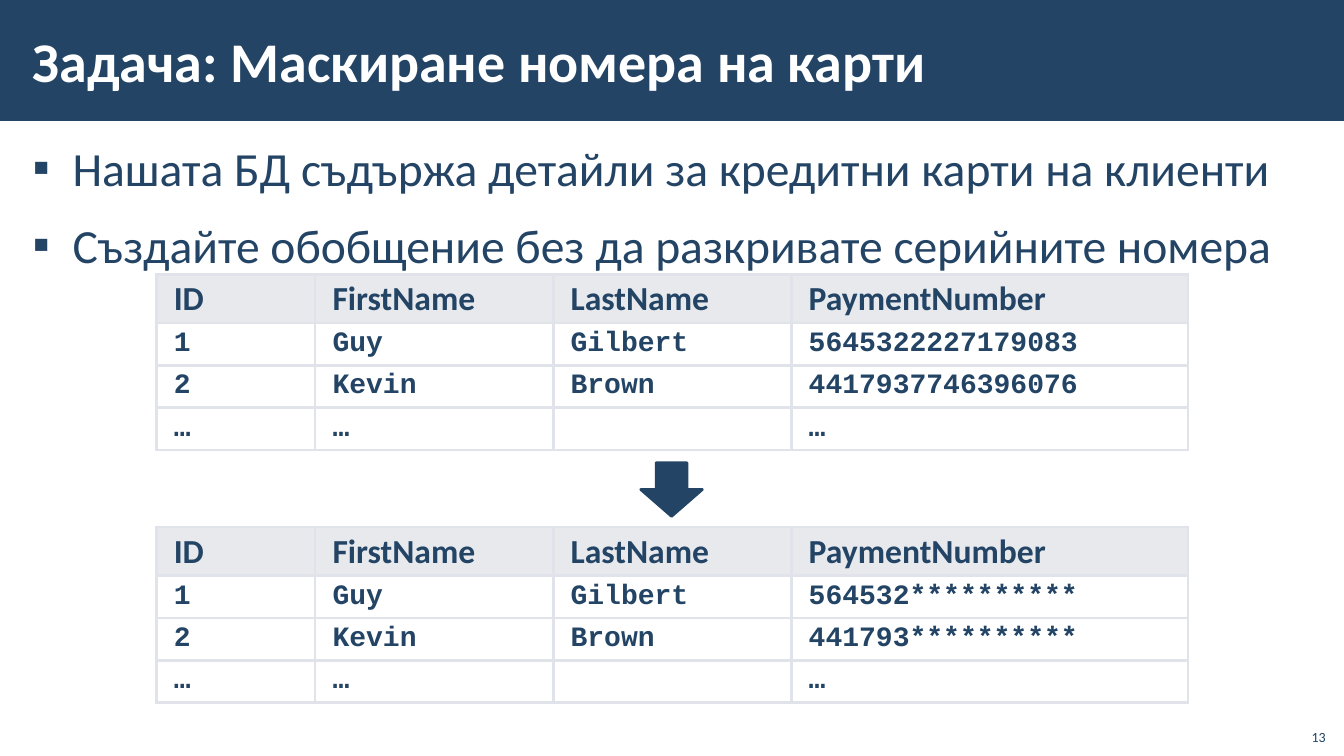
from dataclasses import dataclass

from lxml.etree import SubElement
from pptx import Presentation
from pptx.dml.color import RGBColor
from pptx.enum.shapes import MSO_SHAPE
from pptx.enum.text import MSO_ANCHOR, PP_ALIGN
from pptx.oxml.ns import qn
from pptx.util import Cm, Pt


@dataclass(frozen=True)
class Theme:
    """Colours, fonts and type sizes of the slide."""

    navy: str = "234465"
    white: str = "FFFFFF"
    header_fill: str = "D1D5DD"
    border: str = "E0E3E9"
    text_font: str = "Calibri"
    code_font: str = "Courier New"
    title_size: int = 40
    body_size: int = 34
    header_size: int = 24
    cell_size: int = 20
    number_size: int = 10


THEME = Theme()
COLUMN_WIDTHS = (4, 6, 6, 10)
ROW_HEIGHTS = (1.23, 1.06, 1.06, 1.06)
HEADERS = ("ID", "FirstName", "LastName", "PaymentNumber")
CUSTOMERS = (("1", "Guy", "Gilbert"), ("2", "Kevin", "Brown"), ("…", "…", ""))
FULL_NUMBERS = ("5645322227179083", "4417937746396076", "…")
MASKED_NUMBERS = ("564532**********", "441793**********", "…")
BULLETS = (
    "Нашата БД съдържа детайли за кредитни карти на клиенти",
    "Създайте обобщение без да разкривате серийните номера",
)


def write_text(paragraph, text, size, color=THEME.navy, font=THEME.text_font,
               bold=False, align=PP_ALIGN.LEFT, line_spacing=None, space=0):
    """Write one formatted run into a paragraph."""
    paragraph.alignment = align
    paragraph.line_spacing = line_spacing
    paragraph.space_before = paragraph.space_after = Pt(space)
    run = paragraph.add_run()
    run.text = text
    run.font.name = font
    run.font.size = Pt(size)
    run.font.bold = bold
    run.font.color.rgb = RGBColor.from_string(color)


def add_text_frame(slide, left, top, width, height, anchor=MSO_ANCHOR.TOP):
    """Add a wrapping text box and return its text frame."""
    box = slide.shapes.add_textbox(Cm(left), Cm(top), Cm(width), Cm(height))
    frame = box.text_frame
    frame.word_wrap = True
    frame.vertical_anchor = anchor
    frame.margin_left = frame.margin_right = Cm(0.3)
    frame.margin_top = frame.margin_bottom = Cm(0.1)
    return frame


def add_filled_shape(slide, kind, left, top, width, height):
    """Add a navy preset shape without outline or shadow."""
    shape = slide.shapes.add_shape(kind, Cm(left), Cm(top), Cm(width), Cm(height))
    shape.shadow.inherit = False
    shape.fill.solid()
    shape.fill.fore_color.rgb = RGBColor.from_string(THEME.navy)
    shape.line.fill.background()
    return shape


def add_arrow(slide, left, top, width, height):
    """Add a down arrow with a rounded outline."""
    arrow = add_filled_shape(slide, MSO_SHAPE.DOWN_ARROW, left, top, width, height)
    arrow.line.color.rgb = RGBColor.from_string(THEME.navy)
    arrow.line.width = Pt(2)
    SubElement(arrow.line._get_or_add_ln(), qn("a:round"))


def add_bullets(slide, texts):
    """Add the bulleted list below the title."""
    frame = add_text_frame(slide, 0.53, 3.33, 32.82, 15.37)
    for index, text in enumerate(texts):
        paragraph = frame.add_paragraph() if index else frame.paragraphs[0]
        write_text(paragraph, text, THEME.body_size, line_spacing=1.05, space=6)
        properties = paragraph._p.get_or_add_pPr()
        properties.set("marL", str(Cm(1)))
        properties.set("indent", str(Cm(-1)))
        SubElement(properties, qn("a:buFont"), typeface=THEME.text_font)
        SubElement(properties, qn("a:buChar"), char="▪")


def style_cell(cell, color, opacity):
    """Set margins, borders and a translucent fill on a cell."""
    cell.margin_left = cell.margin_right = Cm(0.44)
    cell.margin_top = cell.margin_bottom = Cm(0.13)
    properties = cell._tc.get_or_add_tcPr()
    for side in ("lnL", "lnR", "lnT", "lnB"):
        line = SubElement(properties, qn(f"a:{side}"), w=str(Pt(2.25)))
        line_fill = SubElement(line, qn("a:solidFill"))
        SubElement(line_fill, qn("a:srgbClr"), val=THEME.border)
    cell.fill.solid()
    cell.fill.fore_color.rgb = RGBColor.from_string(color)
    fill_color = properties.find(qn("a:solidFill")).find(qn("a:srgbClr"))
    SubElement(fill_color, qn("a:alpha"), val=str(opacity * 1000))


def add_payment_table(slide, top, numbers):
    """Add a customer table with the given payment numbers."""
    rows = [HEADERS] + [(*customer, number) for customer, number in zip(CUSTOMERS, numbers)]
    frame = slide.shapes.add_table(
        len(rows), len(HEADERS), Cm(3.94), Cm(top),
        Cm(sum(COLUMN_WIDTHS)), Cm(sum(ROW_HEIGHTS)))
    table = frame.table
    for column, width in zip(table.columns, COLUMN_WIDTHS):
        column.width = Cm(width)
    for row_index, texts in enumerate(rows):
        table.rows[row_index].height = Cm(ROW_HEIGHTS[row_index])
        is_header = row_index == 0
        for column_index, text in enumerate(texts):
            cell = table.cell(row_index, column_index)
            style_cell(cell, THEME.header_fill if is_header else THEME.white,
                       50 if is_header else 20)
            if text:
                write_text(cell.text_frame.paragraphs[0], text,
                           THEME.header_size if is_header else THEME.cell_size,
                           font=THEME.text_font if is_header else THEME.code_font,
                           bold=True, line_spacing=0.95)


def main():
    """Build and save the card masking slide."""
    presentation = Presentation()
    presentation.slide_width = Cm(33.87)
    presentation.slide_height = Cm(19.05)
    slide = presentation.slides.add_slide(presentation.slide_layouts[6])

    add_filled_shape(slide, MSO_SHAPE.RECTANGLE, 0, 0, 33.87, 3.05)
    add_bullets(slide, BULLETS)
    title = add_text_frame(slide, 0.53, 0.28, 27, 2.46, MSO_ANCHOR.MIDDLE)
    write_text(title.paragraphs[0], "Задача: Маскиране номера на карти",
               THEME.title_size, color=THEME.white, bold=True)
    add_payment_table(slide, 6.91, FULL_NUMBERS)
    add_payment_table(slide, 13.28, MASKED_NUMBERS)
    add_arrow(slide, 16.15, 11.66, 1.55, 1.35)
    page_number = add_text_frame(slide, 32.64, 18.08, 1.02, 0.81, MSO_ANCHOR.BOTTOM)
    page_number.margin_left = page_number.margin_right = Cm(0.25)
    write_text(page_number.paragraphs[0], "13", THEME.number_size, align=PP_ALIGN.RIGHT)

    presentation.save("out.pptx")


if __name__ == "__main__":
    main()
